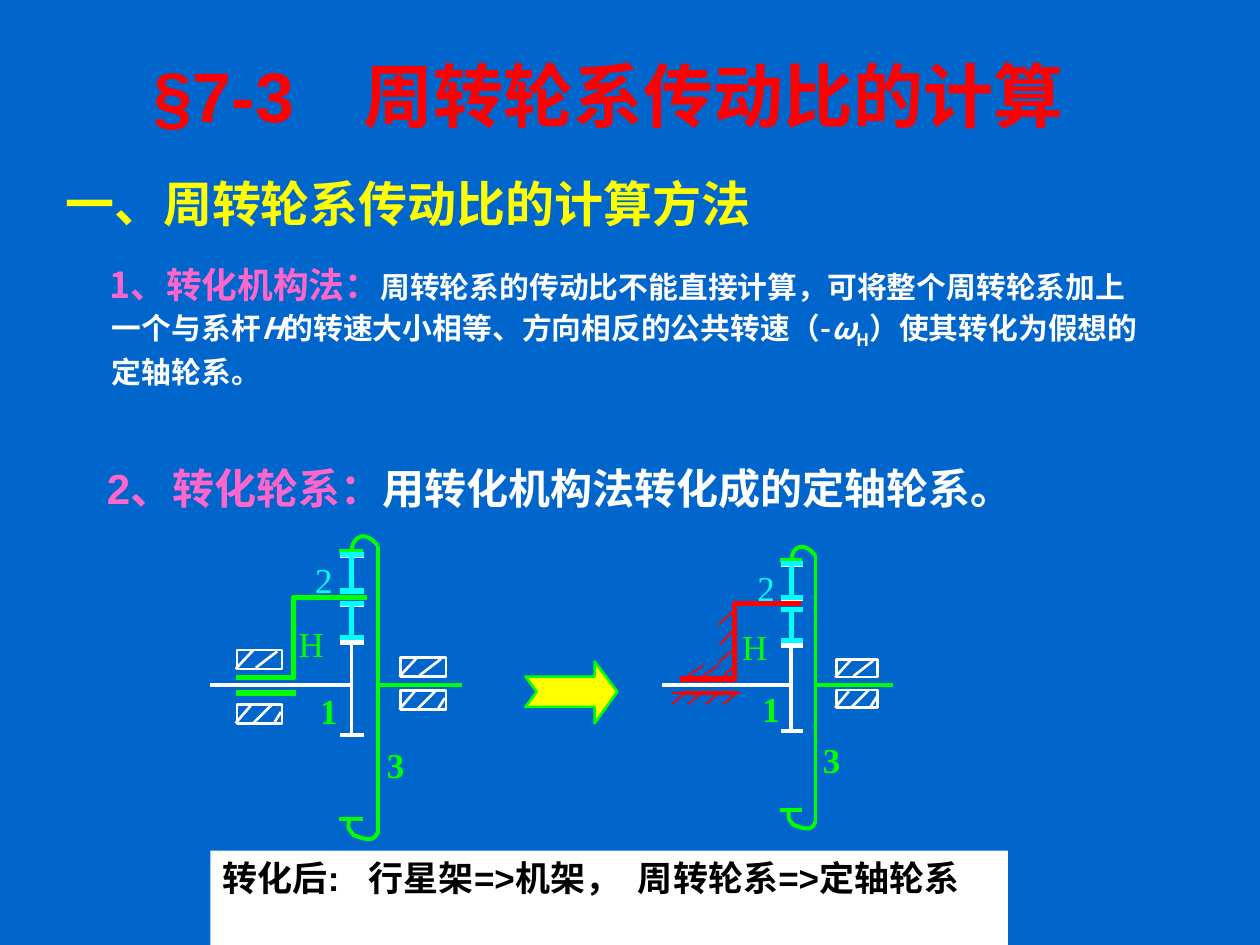
from pptx import Presentation
from pptx.dml.color import RGBColor
from pptx.enum.shapes import MSO_CONNECTOR, MSO_SHAPE
from pptx.enum.text import MSO_ANCHOR, MSO_AUTO_SIZE, PP_ALIGN
from pptx.oxml.ns import qn
from pptx.util import Emu, Pt

STRAIGHT = MSO_CONNECTOR.STRAIGHT
RECTANGLE = MSO_SHAPE.RECTANGLE
TOP, MIDDLE = MSO_ANCHOR.TOP, MSO_ANCHOR.MIDDLE
LEFT, CENTER = PP_ALIGN.LEFT, PP_ALIGN.CENTER
FIXED = MSO_AUTO_SIZE.NONE

PX = 9144  # 100 px to the inch
BLUE, WHITE, BLACK = "0066CC", "FFFFFF", "000000"
RED, GREEN, CYAN = "FF0000", "00FF00", "00FFFF"
YELLOW, PINK = "FFFF00", "FF66CC"
CJK = "Noto Sans CJK SC"


def px(length):
    return Emu(round(length * PX))


def color(value):
    return RGBColor.from_string(value)


def unchanged(x, y):
    return x, y


def shrunk(x, y):
    """Map a point of the left gear train to the smaller right one."""
    return 628 + (x - 279) * 0.915, 544 + (y - 544) * 0.93


def write(shape, spans, font="Arial", size=20, bold=True, align=LEFT, anchor=TOP,
          wrap=True, margin=0, indent=0, spacing=None):
    """Fill a shape with one paragraph of (text, format) spans."""
    frame = shape.text_frame
    frame.auto_size = FIXED
    frame.word_wrap = wrap
    frame.vertical_anchor = anchor
    frame.margin_left = frame.margin_right = px(10)
    frame.margin_top = frame.margin_bottom = px(5)
    para = frame.paragraphs[0]
    para.alignment = align
    para.space_before = Pt(0)
    if spacing:
        para.line_spacing = spacing
    properties = para._p.get_or_add_pPr()
    properties.set("marL", str(px(margin)))
    properties.set("indent", str(px(indent)))
    for text, style in spans:
        span = para.add_run()
        span.text = text
        span.font.name = font
        span.font.size = Pt(style.get("size", size))
        span.font.bold = bold
        span.font.italic = style.get("italic", False)
        span.font.color.rgb = color(style.get("color", WHITE))
        character = span._r.get_or_add_rPr()
        for name in ("baseline", "spc"):
            if name in style:
                character.set(name, str(style[name]))
        character.append(character.makeelement(qn("a:ea"), {"typeface": CJK}))


def add_text(page, box, spans, **style):
    shape = page.shapes.add_textbox(*map(px, box))
    write(shape, spans, **style)


def add_label(page, left, top, text, ink, bold=False, width=34):
    add_text(page, (left, top, width, 44), [(text, {"color": ink})],
             font="Times New Roman", bold=bold, align=CENTER, anchor=MIDDLE, wrap=False)


def paint(shape, fill=None, line=None, weight=1):
    shape.shadow.inherit = False
    if fill:
        shape.fill.solid()
        shape.fill.fore_color.rgb = color(fill)
    else:
        shape.fill.background()
    if line:
        shape.line.color.rgb = color(line)
        shape.line.width = Pt(weight)
    else:
        shape.line.fill.background()


def add_line(page, ends, ink, weight, place=unchanged):
    x1, y1, x2, y2 = ends
    points = (*place(x1, y1), *place(x2, y2))
    line = page.shapes.add_connector(STRAIGHT, *map(px, points))
    line.line.color.rgb = color(ink)
    line.line.width = Pt(weight)
    properties = line._element.spPr
    properties.append(properties.makeelement(qn("a:effectLst"), {}))


def add_outline(page, points, close=False, place=unchanged, **style):
    corners = [tuple(map(px, place(*point))) for point in points]
    builder = page.shapes.build_freeform(*corners[0], scale=1.0)
    builder.add_line_segments(corners[1:], close=close)
    shape = builder.convert_to_shape()
    paint(shape, **style)
    return shape


def add_curve(page, knots, **style):
    """Turn each three segments of an outline into one cubic curve."""
    shape = add_outline(page, knots, **style)
    segments = list(shape._element.iter(qn("a:lnTo")))
    for start in range(0, len(segments), 3):
        first = segments[start]
        curve = first.makeelement(qn("a:cubicBezTo"), {})
        first.addprevious(curve)
        for segment in segments[start:start + 3]:
            curve.append(segment[0])
            segment.getparent().remove(segment)


def add_bearing(page, left, upper, lower, place):
    """Draw two hatched blocks, above and below a shaft."""
    upper_hatch = ((-1, 15, 13, 0), (15, 14, 32, 1))
    lower_hatch = ((-1, 15, 11, 1), (13, 15, 28, 0), (30, 14, 35, 6))
    for top, hatch in ((upper, upper_hatch), (lower, lower_hatch)):
        x1, y1 = place(left, top)
        x2, y2 = place(left + 36, top + 15)
        block = page.shapes.add_shape(RECTANGLE, *map(px, (x1, y1, x2 - x1, y2 - y1)))
        paint(block, line=WHITE, weight=1.5)
        for a, b, c, d in hatch:
            add_line(page, (left + a, top + b, left + c, top + d), WHITE, 1.5, place)


def add_gear_train(page, place):
    """Draw the parts that both trains share."""
    for ends in ((279, 544, 167, 544), (279, 583, 279, 510),
                 (270, 583, 289, 583), (270, 510, 289, 510)):
        add_line(page, ends, WHITE, 2.25, place)
    for ends in ((269, 650, 288, 650), (300, 433, 300, 662),
                 (300, 544, 367, 544), (269, 437, 288, 437)):
        add_line(page, ends, GREEN, 2.25, place)
    add_bearing(page, 318, 522, 548, place)
    lower_hook = [(277, 651), (277, 653), (276, 656), (277, 658), (278, 659),
                  (279, 661), (281, 663), (284, 664), (291, 667), (294, 666),
                  (297, 666), (299, 663), (300, 660)]
    upper_hook = [(279, 441), (279, 438), (279, 435), (280, 432), (281, 430),
                  (283, 427), (286, 426), (288, 425), (291, 426), (293, 427),
                  (295, 428), (298, 431), (300, 433)]
    for hook in (lower_hook, upper_hook):
        add_curve(page, hook, place=place, line=GREEN, weight=2.25)
    for ink, weight, shift in ((WHITE, 2.25, 1), (CYAN, 3, 0)):
        for top, bottom in ((440, 469), (479, 506)):
            top, bottom = top + shift, bottom + shift
            add_line(page, (279, top, 279, bottom), ink, weight, place)
            for y in (top, bottom):
                add_line(page, (270, y, 289, y), ink, weight, place)


def add_fixed_frame(page):
    """Hatch the arm and ground of the right train."""
    add_line(page, (533, 550, 587, 550), RED, 1.5)
    add_line(page, (541, 550, 585, 550), RED, 2.25)
    hatch = [(570, 496, 584, 483), (570, 526, 584, 514), (574, 537, 585, 526),
             (584, 498, 571, 512), (558, 528, 544, 538), (570, 528, 558, 537)]
    hatch += [(x, 550, x - 11, 559) for x in (544, 557, 571, 585)]
    for ends in hatch:
        add_line(page, ends, RED, 1)


def main():
    deck = Presentation()
    deck.slide_width, deck.slide_height = px(1000), px(750)
    page = deck.slides.add_slide(deck.slide_layouts[5])
    page.background.fill.solid()
    page.background.fill.fore_color.rgb = color(BLUE)

    title = page.shapes.title
    title.left, title.top, title.width, title.height = map(px, (58, 42, 850, 66))
    write(title, [("§7-3　周转轮系传动比的计算", {"color": RED})],
          size=40, align=CENTER, anchor=MIDDLE)

    add_text(page, (42, 200, 883, 150), [
        ("1、转化机构法：", {"size": 20.4, "color": PINK}),
        ("周转轮系的传动比不能直接计算，可将整个周转轮系加上一个与系杆", {}),
        ("H", {"italic": True}),
        ("的转速大小相等、方向相反的公共转速（-", {}),
        ("ω", {"italic": True}),
        ("H", {"baseline": -25000}),
        ("）使其转化为假想的定轴轮系。", {}),
    ], font=CJK, size=17, margin=37, indent=-2, spacing=1.1)
    add_text(page, (42, 133, 733, 57), [("一、周转轮系传动比的计算方法", {"color": YELLOW})],
             size=28, margin=38, indent=-38)
    add_text(page, (75, 350, 833, 62), [
        ("2、转化轮系：", {"color": PINK}),
        ("用转化机构法转化成的定轴轮系。", {}),
    ], size=24, margin=38, indent=-38, spacing=1.3)

    add_outline(page, [(417, 537), (472, 537), (472, 525), (490, 549), (472, 574),
                       (472, 561), (417, 561), (426, 549)],
                close=True, fill=YELLOW, line=GREEN, weight=1.5)

    add_line(page, (187, 550, 235, 550), GREEN, 3)
    add_bearing(page, 188, 516, 559, unchanged)
    add_outline(page, [(291, 474), (233, 474), (233, 538), (187, 538)], line=GREEN, weight=3)
    add_gear_train(page, unchanged)

    add_fixed_frame(page)
    add_outline(page, [(636, 479), (583, 479), (583, 539), (540, 539)], line=RED, weight=3)
    add_gear_train(page, shrunk)

    labels = (("2", CYAN, False, 34, (240, 438), (591, 444)),
              ("H", GREEN, False, 40, (227, 489), (579, 491)),
              ("1", GREEN, True, 34, (244, 542), (595, 540)),
              ("3", GREEN, True, 34, (297, 585), (643, 581)))
    for text, ink, bold, width, *spots in labels:
        for left, top in spots:
            add_label(page, left, top, text, ink, bold, width)

    result = page.shapes.add_shape(RECTANGLE, *map(px, (167, 675, 633, 75)))
    paint(result, fill=WHITE)
    ink = {"color": BLACK}
    write(result, [("转化后:", ink), (" ", {**ink, "spc": 1110}),
                   ("行星架=>机架，", ink), (" ", {**ink, "spc": 560}),
                   ("周转轮系=>定轴轮系", ink)], margin=38, indent=-38)
    deck.save("out.pptx")


if __name__ == "__main__":
    main()
